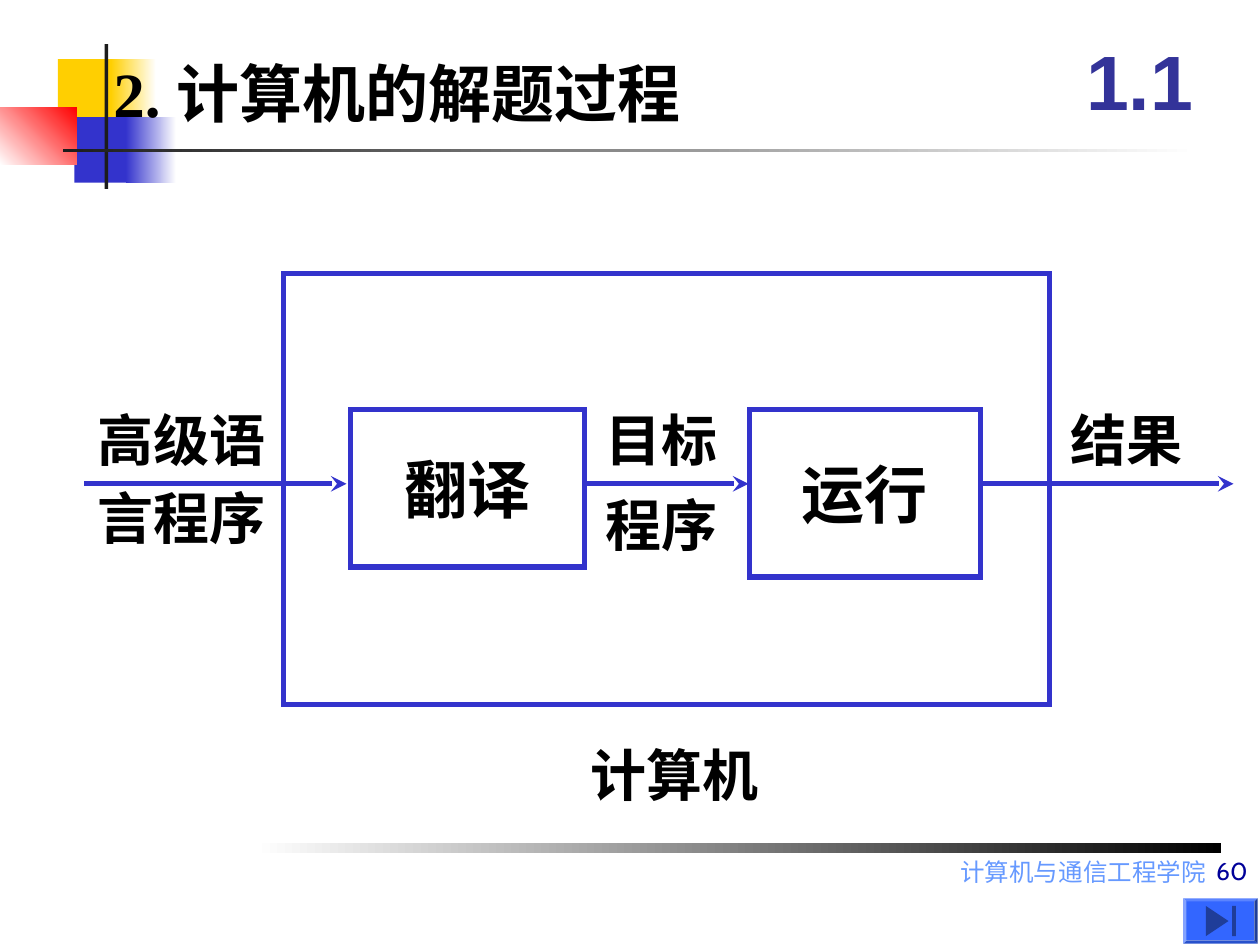
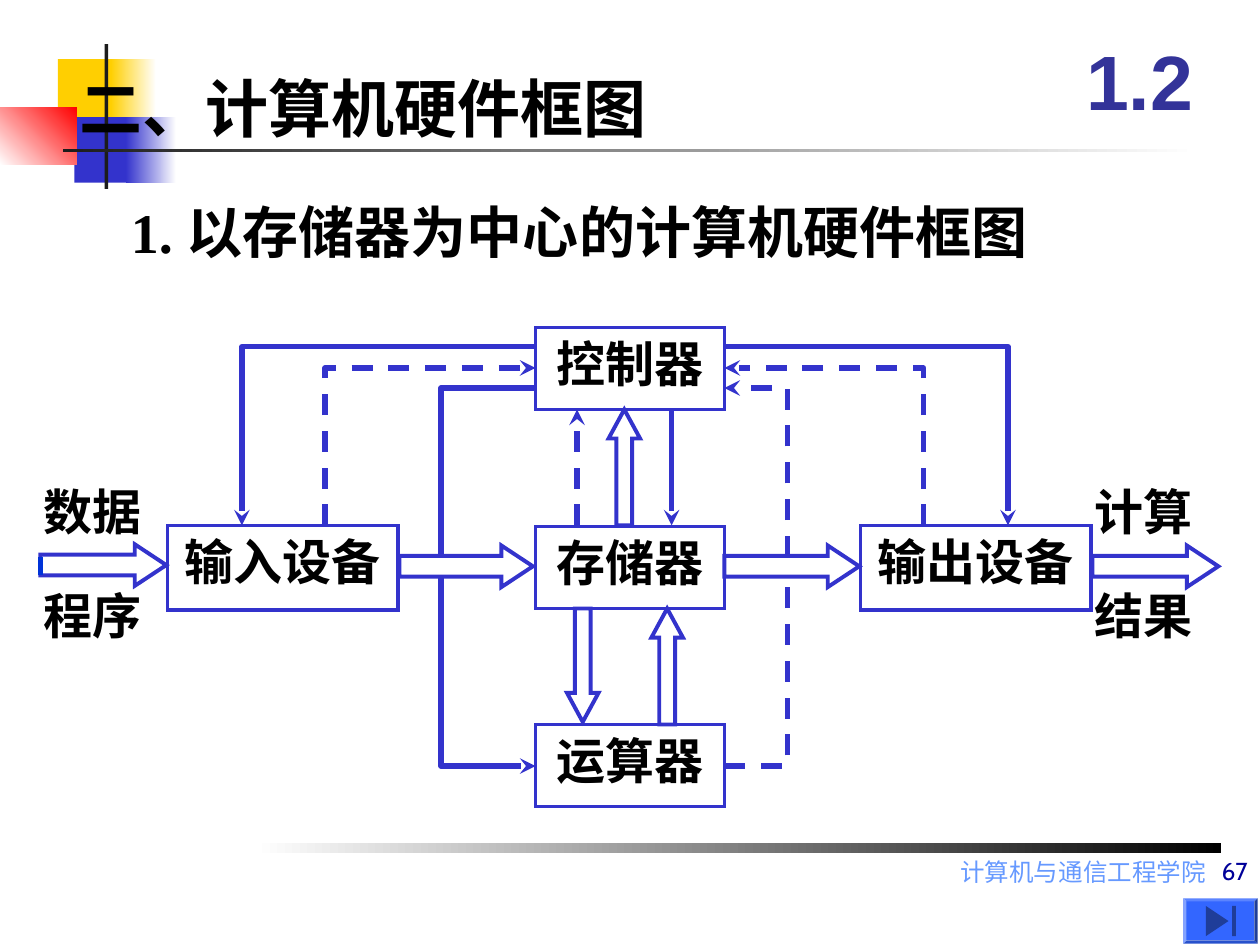
from dataclasses import dataclass

from lxml.etree import SubElement
from pptx import Presentation
from pptx.dml.color import RGBColor
from pptx.enum.dml import MSO_LINE
from pptx.enum.shapes import MSO_CONNECTOR, MSO_SHAPE as SHAPE
from pptx.enum.text import MSO_ANCHOR as ANCHOR, MSO_AUTO_SIZE as FIT, PP_ALIGN as ALIGN
from pptx.oxml.ns import qn
from pptx.slide import Slide
from pptx.util import Pt

PX = 9144  # EMU in one px, 100 px to the inch
BLUE, YELLOW, RED, CHARCOAL = "3333CC", "FFCF01", "FF0000", "1C1C1C"
BLACK, WHITE = "000000", "FFFFFF"
BUTTON, BUTTON_ICON = "3366FF", "1F3D99"
SECTION, FOOTER, PAGE, INLET = "333399", "6699FF", "000099", "0033D8"
CJK, SERIF = "Noto Sans CJK SC", "Times New Roman"


def px(*lengths):
    return [length * PX for length in lengths]


def rgb(color):
    return RGBColor.from_string(color)


def paint(shape, fill=None, angle=0):
    """Fill with one colour, a (from, to) gradient, or nothing; no outline."""
    shape.shadow.inherit = False
    shape.line.fill.background()
    if fill is None:
        shape.fill.background()
    elif isinstance(fill, str):
        shape.fill.solid()
        shape.fill.fore_color.rgb = rgb(fill)
    else:
        shape.fill.gradient()
        shape.fill.gradient_angle = angle
        for stop, color in zip(shape.fill.gradient_stops, fill):
            stop.color.rgb = rgb(color)


def stroke(shape, width=3, color=BLUE, dashed=False, arrow=False, sharp=False):
    shape.line.color.rgb = rgb(color)
    shape.line.width = Pt(width)
    if dashed:
        shape.line.dash_style = MSO_LINE.DASH
    outline = shape.element.spPr.find(qn("a:ln"))
    if sharp:
        SubElement(outline, qn("a:miter"), lim="800000")
    if arrow:
        SubElement(outline, qn("a:tailEnd"), type="stealth")


def write(shape, text, size, font=CJK, color=BLACK, bold=True, align=ALIGN.LEFT,
          anchor=ANCHOR.TOP, inset=True):
    frame = shape.text_frame
    frame.text = text
    frame.word_wrap = True
    frame.auto_size = FIT.NONE
    frame.vertical_anchor = anchor
    side, edge = px(10, 5) if inset else (0, 0)
    frame.margin_left = frame.margin_right = side
    frame.margin_top = frame.margin_bottom = edge
    paragraph = frame.paragraphs[0]
    paragraph.alignment = align
    paragraph.font.size = Pt(size)
    paragraph.font.bold = bold
    paragraph.font.color.rgb = rgb(color)
    paragraph.font.name = font
    properties = paragraph._p.find(".//" + qn("a:defRPr"))
    SubElement(properties, qn("a:ea"), typeface=CJK)


@dataclass
class Region:
    """Part of a slide; everything in it is placed from its top left corner."""
    slide: Slide
    left: int
    top: int

    def at(self, x, y):
        return self.left + x, self.top + y

    def shape(self, kind, x, y, width, height, fill=None, angle=0):
        shape = self.slide.shapes.add_shape(kind, *px(*self.at(x, y), width, height))
        paint(shape, fill, angle)
        return shape

    def rect(self, *box, **style):
        return self.shape(SHAPE.RECTANGLE, *box, **style)

    def box(self, x, y, width, height, line_width):
        shape = self.rect(x, y, width, height)
        stroke(shape, line_width, sharp=True)
        return shape

    def text(self, x, y, width, height, text, size, **style):
        shape = self.slide.shapes.add_textbox(*px(*self.at(x, y), width, height))
        write(shape, text, size, **style)

    def line(self, start, end, **style):
        connector = self.slide.shapes.add_connector(
            MSO_CONNECTOR.STRAIGHT, *px(*self.at(*start), *self.at(*end)))
        stroke(connector, **style)
        SubElement(connector.element.spPr, qn("a:effectLst"))

    def outline(self, points, close=False, fill=None):
        start, *others = [self.at(*point) for point in points]
        builder = self.slide.shapes.build_freeform(*start, scale=PX)
        builder.add_line_segments(others, close=close)
        shape = builder.convert_to_shape()
        paint(shape, fill)
        return shape

    def block_arrow(self, kind, x, y, width, height, head):
        shape = self.shape(kind, x, y, width, height)
        shape.adjustments[1] = head / min(width, height)
        stroke(shape, 2.25, sharp=True)


# ---- Parts shared by the slides ----

def draw_corner(slide, left, top):
    corner = Region(slide, left, top)
    corner.rect(46, 12, 48, 52, fill=YELLOW)
    corner.rect(88, 12, 36, 52, fill=(YELLOW, WHITE))
    corner.rect(59, 58, 46, 52, fill=BLUE)
    corner.rect(100, 58, 40, 52, fill=(BLUE, WHITE))
    corner.rect(0, 50, 61, 46, fill=(WHITE, RED), angle=45)
    corner.rect(83, 0, 3, 115, fill=CHARCOAL)
    corner.rect(50, 83, 900, 3, fill=(CHARCOAL, WHITE))


def draw_footer(slide, left, top, page):
    footer = Region(slide, left, top)
    footer.rect(0, 11, 767, 8, fill=(WHITE, BLACK))
    footer.text(190, 17, 575, 26, "计算机与通信工程学院", 14, font=SERIF,
                color=FOOTER, bold=False, align=ALIGN.RIGHT)
    footer.text(320, 0, 478, 50, page, 14, font="Cabin", color=PAGE,
                bold=False, align=ALIGN.RIGHT, anchor=ANCHOR.BOTTOM)


def draw_end_button(slide, left, top):
    button = Region(slide, left, top)
    bevel = button.shape(SHAPE.BEVEL, 0, 0, 59, 36, fill=BUTTON)
    bevel.adjustments[0] = 0.07
    button.outline([(18, 6), (36, 18), (18, 30)], close=True, fill=BUTTON_ICON)
    button.rect(39, 6, 3, 24, fill=BUTTON_ICON)


def add_slide(presentation, title, title_box, title_font, section, page):
    slide = presentation.slides.add_slide(presentation.slide_layouts[5])
    draw_corner(slide, 0, 35)
    draw_footer(slide, 202, 658, page)
    Region(slide, 842, 17).text(0, 0, 125, 92, section, 44, font="Arial",
                                color=SECTION, align=ALIGN.CENTER,
                                anchor=ANCHOR.MIDDLE)
    draw_end_button(slide, 939, 713)
    # The title stands in front of the corner squares
    heading = slide.shapes.title
    heading.left, heading.top, heading.width, heading.height = px(*title_box)
    write(heading, title, 36, font=title_font)
    slide.shapes._spTree.append(heading.element)
    return slide


# ---- Solving process ----

def draw_process(slide, left, top):
    process = Region(slide, left, top)
    process.box(158, 0, 608, 342, 3)
    process.text(392, 366, 170, 64, "计算机", 32)

    # Stages inside the computer
    for x, width, height, stage in ((211, 186, 125, "翻译"), (528, 183, 133, "运行")):
        write(process.box(x, 108, width, height, 3), stage, 36,
              align=ALIGN.CENTER, anchor=ANCHOR.MIDDLE)

    # Labels above and below the flow
    for x, y, width, label in ((10, 105, 145, "高级语"), (10, 167, 145, "言程序"),
                               (414, 105, 100, "目标"), (414, 172, 100, "程序"),
                               (783, 105, 100, "结果")):
        process.text(x, y, width, 53, label, 32, inset=False)

    for start, end in ((0, 208), (398, 527), (711, 912)):
        process.line((start, 167), (end, 167), arrow=True)


# ---- Hardware diagram ----

def draw_hardware(slide, left, top):
    hardware = Region(slide, left, top)

    # Units
    for x, y, width, height, unit in ((400, 0, 150, 65, "控制器"),
                                      (400, 158, 150, 65, "存储器"),
                                      (400, 315, 150, 65, "运算器"),
                                      (108, 157, 183, 67, "输入设备"),
                                      (658, 157, 183, 67, "输出设备")):
        write(hardware.box(x, y, width, height, 2), unit, 28, align=ALIGN.CENTER)

    # Data flow
    for x, y, width in ((7, 172, 100), (292, 173, 106), (550, 173, 107), (842, 173, 100)):
        hardware.block_arrow(SHAPE.RIGHT_ARROW, x, y, width, 33, 25)
    hardware.block_arrow(SHAPE.UP_ARROW, 458, 65, 25, 92, 23)
    hardware.block_arrow(SHAPE.UP_ARROW, 492, 223, 25, 92, 23)
    hardware.block_arrow(SHAPE.DOWN_ARROW, 425, 223, 25, 90, 23)
    hardware.line((7, 182), (7, 196), color=INLET)

    # Control signals are solid, feedback is dashed
    hardware.line((433, 157), (433, 65), dashed=True, arrow=True)
    hardware.line((508, 65), (508, 157), arrow=True)
    routes = (
        ([(325, 182), (325, 48), (400, 48)], False, False),
        ([(325, 198), (325, 348), (400, 348)], False, True),
        ([(550, 348), (600, 348), (600, 198)], True, False),
        ([(600, 182), (600, 48), (550, 48)], True, True),
        ([(233, 157), (233, 32), (400, 32)], True, True),
        ([(400, 15), (167, 15), (167, 157)], False, True),
        ([(708, 157), (708, 32), (550, 32)], True, True),
        ([(550, 15), (775, 15), (775, 157)], False, True),
    )
    for points, dashed, arrow in routes:
        stroke(hardware.outline(points), dashed=dashed, arrow=arrow)

    # Input and output labels
    for x, labels in ((0, ("数据", "程序")), (834, ("计算", "结果"))):
        for row, label in enumerate(labels):
            hardware.text(x, 117 + 83 * row, 110, 57, label, 28)


def main():
    presentation = Presentation()
    presentation.slide_width, presentation.slide_height = px(1000, 750)

    slide = add_slide(presentation, "2. 计算机的解题过程", (80, 38, 637, 70),
                      SERIF, "1.1", "60")
    draw_process(slide, 67, 217)

    slide = add_slide(presentation, "二、计算机硬件框图", (53, 50, 705, 70),
                      CJK, "1.2", "67")
    Region(slide, 94, 152).text(0, 0, 780, 64, "1. 以存储器为中心的计算机硬件框图", 32,
                                font=SERIF)
    draw_hardware(slide, 25, 260)

    presentation.save("out.pptx")


if __name__ == "__main__":
    main()
